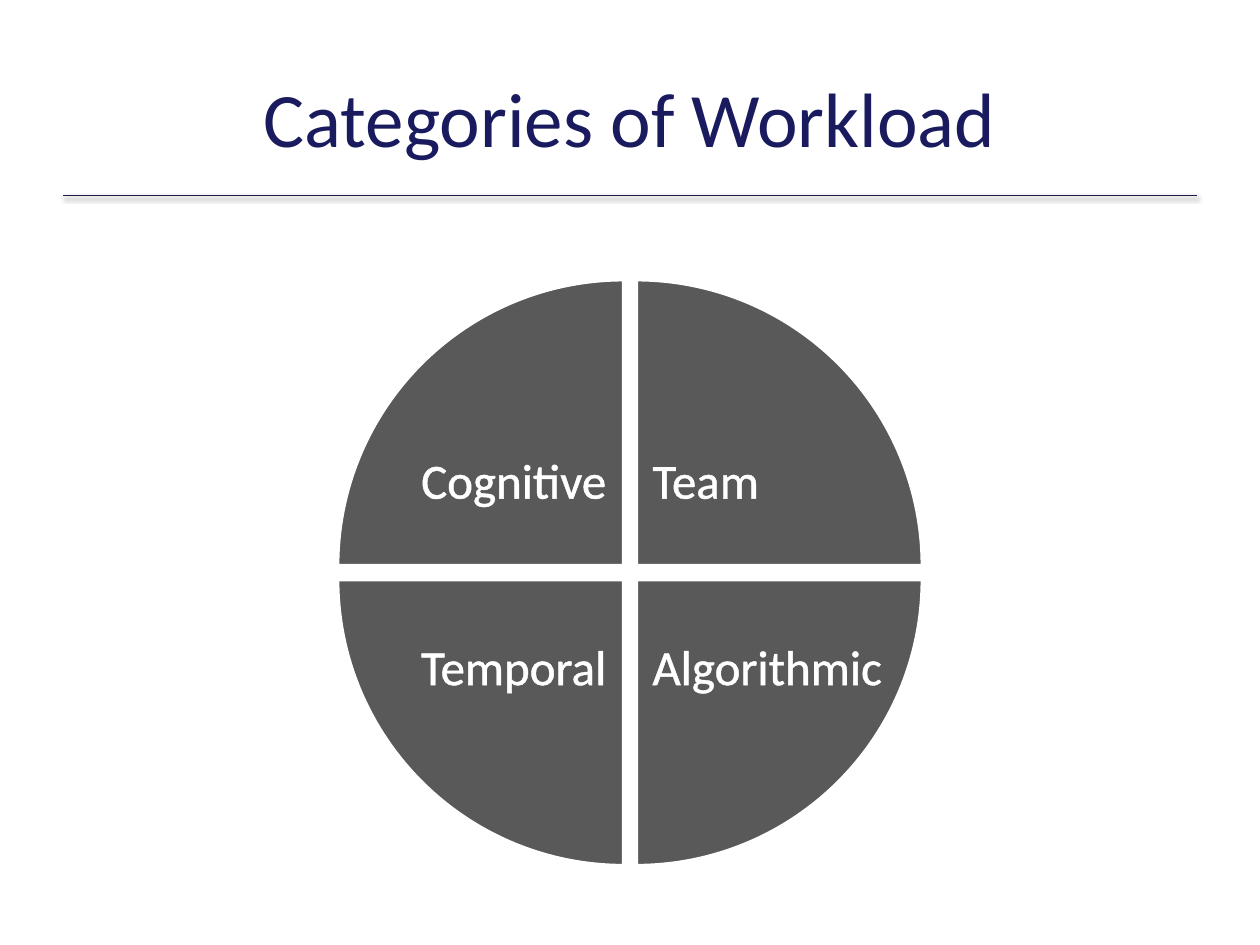
import pptx
import pptx.util
import pptx.oxml
import pptx.oxml.ns
import pptx.dml.color
import pptx.enum.shapes
import pptx.enum.text

Inches, Pt = pptx.util.Inches, pptx.util.Pt
RGBColor = pptx.dml.color.RGBColor
ALIGN = pptx.enum.text.PP_ALIGN
ANCHOR = pptx.enum.text.MSO_ANCHOR
NS = pptx.oxml.ns.nsdecls("a")

NAVY = RGBColor(0x19, 0x1B, 0x5E)
RULE = RGBColor(0x1A, 0x1C, 0x47)
GRAY = RGBColor(0x59, 0x59, 0x59)
WHITE = RGBColor(0xFF, 0xFF, 0xFF)

prs = pptx.Presentation()
prs.slide_width, prs.slide_height = Inches(10), Inches(7.5)
s = prs.slides.add_slide(prs.slide_layouts[6])


def add_text(text, left, top, width, height, size, color, align, anchor):
    tf = s.shapes.add_textbox(Inches(left), Inches(top), Inches(width), Inches(height)).text_frame
    tf.word_wrap = True
    tf.vertical_anchor = anchor
    tf.text = text
    p = tf.paragraphs[0]
    p.alignment = align
    r = p.runs[0]
    r.font.name = "Calibri"
    r.font.size = Pt(size)
    r.font.color.rgb = color
    return r


# Rule under the title, with a soft shadow below it
rule = s.shapes.add_connector(pptx.enum.shapes.MSO_CONNECTOR.STRAIGHT,
                              Inches(0.5), Inches(1.55), Inches(9.5), Inches(1.55))
rule.line.color.rgb = RULE
rule.line.width = Pt(0.25)
rule._element.spPr.append(pptx.oxml.parse_xml(
    f'<a:effectLst {NS}><a:outerShdw blurRad="{Pt(3.1)}" dist="{Pt(1.6)}" dir="5400000" '
    'rotWithShape="0"><a:srgbClr val="000000"><a:alpha val="38000"/></a:srgbClr>'
    '</a:outerShdw></a:effectLst>'))

# Title
add_text("Categories of Workload", 0.5, 0.3, 9, 1.25, 44, NAVY, ALIGN.CENTER, ANCHOR.MIDDLE)

# Four quarters of the circle, clockwise from top left
SIDE = 2.27
LEFT, RIGHT, TOP, BOTTOM = 2.68, 5.05, 2.22, 4.6
corners = [(LEFT, TOP), (RIGHT, TOP), (RIGHT, BOTTOM), (LEFT, BOTTOM)]
for i, (x, y) in enumerate(corners):
    sp = s.shapes.add_shape(pptx.enum.shapes.MSO_SHAPE.PIE_WEDGE,
                            Inches(x), Inches(y), Inches(SIDE), Inches(SIDE))
    sp.rotation = 90 * i
    sp.shadow.inherit = False
    sp.fill.solid()
    sp.fill.fore_color.rgb = GRAY
    sp.line.color.rgb = WHITE
    sp.line.width = Pt(2)

# Category labels, aligned towards the vertical gap
labels = [
    ("Cognitive", 2.88, 3.52, 2.03, ALIGN.RIGHT),
    ("Team", 5.08, 3.52, 2.88, ALIGN.LEFT),
    ("Temporal", 2.83, 5, 2.08, ALIGN.RIGHT),
    ("Algorithmic", 5.08, 5, 2.17, ALIGN.LEFT),
]
for text, x, y, width, align in labels:
    r = add_text(text, x, y, width, 0.57, 28, WHITE, align, ANCHOR.TOP)
    r.font._element.insert(0, pptx.oxml.parse_xml(
        f'<a:ln {NS} w="{Pt(1.45)}"><a:solidFill><a:srgbClr val="{WHITE}"/></a:solidFill></a:ln>'))

prs.save("out.pptx")
